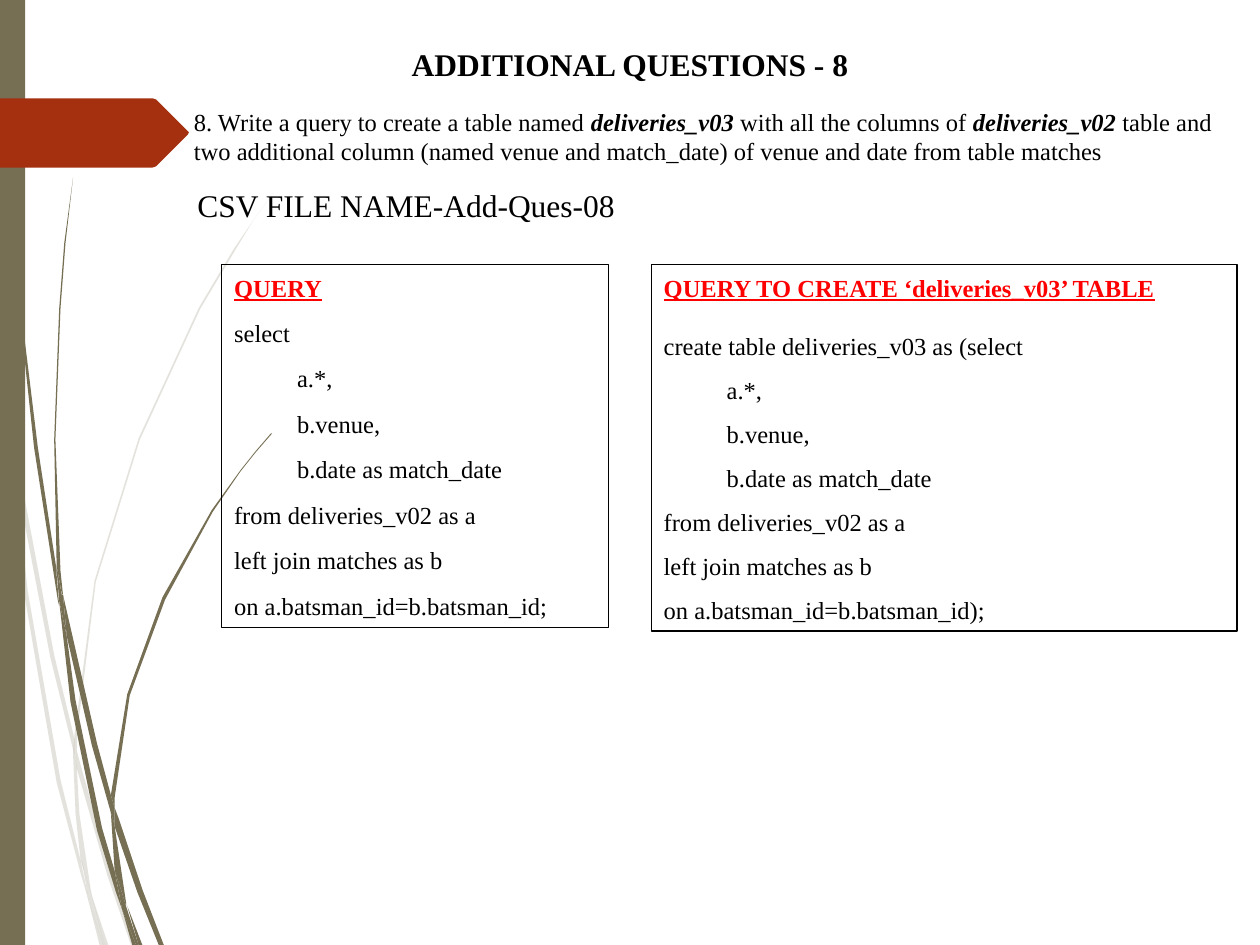
from lxml import etree
from pptx import Presentation
from pptx.dml.color import RGBColor
from pptx.enum.shapes import MSO_SHAPE
from pptx.enum.text import MSO_ANCHOR, MSO_AUTO_SIZE, PP_ALIGN
from pptx.oxml.ns import qn
from pptx.util import Cm, Pt

RECT = MSO_SHAPE.RECTANGLE
TOP, MIDDLE = MSO_ANCHOR.TOP, MSO_ANCHOR.MIDDLE
GROW, FIXED = MSO_AUTO_SIZE.SHAPE_TO_FIT_TEXT, MSO_AUTO_SIZE.NONE
LEFT, CENTER = PP_ALIGN.LEFT, PP_ALIGN.CENTER

FONT = "Times New Roman"
COLORS = {"olive": "766F54", "rust": "A53010", "black": "000000", "red": "FF0000"}
GRID = Cm(2.54) / 100
TAB = Cm(1.27)

PALE = [
    "8,350 6,322 0,282 0,299 7,344",
    "40,522 59,599 59,586 43,520 10,345 12,376",
    "64,607 61,596 61,610 85,694 104,750 108,750 88,692",
    "83,750 86,750 73,711",
    "64,683 48,619 22,469 12,376 8,350 19,470 45,621 64,693 70,714 69,707",
    "58,599 60,646 64,683 67,692 73,711 72,706 63,646 61,610 61,608",
    "61,584 76,462 111,349 159,245 187,198 201,175 217,153 201,175 186,197 "
    "158,244 110,348 75,461 59,584 59,586 61,596",
    "70,714 79,750 82,750",
    "61,608 61,610 61,596 59,586 58,599",
    "67,692 65,683 69,707 70,714 82,750 83,750 73,711",
]
DARK = [
    "5,110 14,233 27,355 46,477 47,481 45,457 45,453 30,355 15,232 6,109 "
    "4,48 3,0 2,0 3,48",
    "73,592 88,645 88,633 88,631 77,590 50,472 53,505",
    "94,649 91,641 91,656 109,708 126,750 130,750 113,706",
    "91,691 81,657 60,556 53,505 47,477 56,557 77,659 92,708 97,722 96,717",
    "50,472 48,453 44,349 48,245 52,193 58,141 51,193 47,245 43,349 45,449 49,471",
    "110,750 113,750 101,719",
    "47,477 53,505 50,472 49,472 45,449 45,453",
    "91,633 103,552 131,476 169,406 191,374 203,359 216,344 215,344 203,358 "
    "191,373 168,405 129,474 101,551 88,631 91,641",
    "97,722 105,750 108,750",
    "88,645 91,691 96,706 100,719 100,716 91,656 90,651",
    "88,645 90,651 91,656 91,641 88,631 88,633",
    "96,706 91,691 96,717 97,722 108,750 110,750 100,719",
]
ARROW = "0,78 121,78 124,79 149,104 150,105 149,107 124,132 121,133 0,133"

BODY = ["\ta.*,", "\tb.venue,", "\tb.date as match_date",
        "from deliveries_v02 as a", "left join matches as b"]


def rgb(name):
    return RGBColor.from_string(COLORS[name])


def paint(shape, color, alpha=None):
    shape.shadow.inherit = False
    shape.fill.solid()
    shape.fill.fore_color.rgb = rgb(color)
    shape.line.fill.background()
    if alpha:
        tone = shape.fill._xPr.find(".//" + qn("a:srgbClr"))
        etree.SubElement(tone, qn("a:alpha")).set("val", str(alpha * 1000))


def outline(slide, knots, color, alpha=None):
    dots = [tuple(map(int, knot.split(","))) for knot in knots.split()]
    path = slide.shapes.build_freeform(*dots[0], scale=GRID)
    path.add_line_segments(dots[1:], close=True)
    paint(path.convert_to_shape(), color, alpha)


def set_tab(para):
    tabs = etree.SubElement(para._p.get_or_add_pPr(), qn("a:tabLst"))
    etree.SubElement(tabs, qn("a:tab"), pos=str(TAB), algn="l")


def write(para, text, size=14, color="black", bold=False, italic=False, under=False):
    run = para.add_run()
    run.text = text
    font = run.font
    font.name, font.size = FONT, Pt(size)
    font.color.rgb = rgb(color)
    font.bold, font.italic, font.underline = bold, italic, under


def frame(shape, fit=GROW, anchor=TOP):
    body = shape.text_frame
    body.word_wrap = True
    body.auto_size = fit
    body.vertical_anchor = anchor
    return body


def add_title(slide, text):
    title = slide.shapes.title
    title.left, title.top = Cm(8), Cm(0.91)
    title.width, title.height = Cm(9.4), Cm(0.86)
    para = frame(title, FIXED, MIDDLE).paragraphs[0]
    para.alignment = CENTER
    para.line_spacing = 0.9
    write(para, text, size=18, bold=True)


def add_label(slide, x, y, w, h):
    box = slide.shapes.add_textbox(Cm(x), Cm(y), Cm(w), Cm(h))
    return frame(box).paragraphs[0]


def add_query(slide, x, w, h, head, lines, pitch, after):
    box = slide.shapes.add_shape(RECT, Cm(x), Cm(5.33), Cm(w), Cm(h))
    box.shadow.inherit = False
    box.fill.background()
    box.line.color.rgb = rgb("black")
    box.line.width = Pt(0.75)
    body = frame(box)
    para = body.paragraphs[0]
    para.alignment = LEFT
    para.line_spacing, para.space_after = 1.07, Pt(8)
    write(para, head, color="red", bold=True, under=True)
    for line in lines:
        para = body.add_paragraph()
        set_tab(para)
        para.alignment = LEFT
        para.line_spacing, para.space_after = pitch, Pt(after)
        write(para, line)


def add_decor(slide):
    for knots in PALE:
        outline(slide, knots, "olive", 20)
    for knots in DARK:
        outline(slide, knots, "olive")
    paint(slide.shapes.add_shape(RECT, 0, 0, Cm(0.51), Cm(19.05)), "olive")
    outline(slide, ARROW, "rust")


def main():
    deck = Presentation()
    deck.slide_width, deck.slide_height = Cm(25.4), Cm(19.05)
    slide = deck.slides.add_slide(deck.slide_layouts[5])
    add_decor(slide)
    add_title(slide, "ADDITIONAL QUESTIONS - 8")

    task = add_label(slide, 3.66, 2.03, 21.79, 1.45)
    write(task, "8. Write a query to create a table named ")
    write(task, "deliveries_v03", bold=True, italic=True)
    write(task, " with all the columns of ")
    write(task, "deliveries_v02 ", bold=True, italic=True)
    write(task, "table and two additional column (named venue and match_date) "
                "of venue and date from table matches")

    add_query(slide, 4.47, 7.8, 7.32, "QUERY",
              ["select", *BODY, "on a.batsman_id=b.batsman_id;"], 1.07, 8)
    write(add_label(slide, 3.73, 3.63, 8.99, 1.02),
          "CSV FILE NAME-Add-Ques-08", size=18)
    add_query(slide, 13.13, 11.81, 7.39, "QUERY TO CREATE ‘deliveries_v03’ TABLE",
              ["create table deliveries_v03 as (select", *BODY,
               "on a.batsman_id=b.batsman_id);"], 1.5, 0)
    deck.save("out.pptx")


if __name__ == "__main__":
    main()
